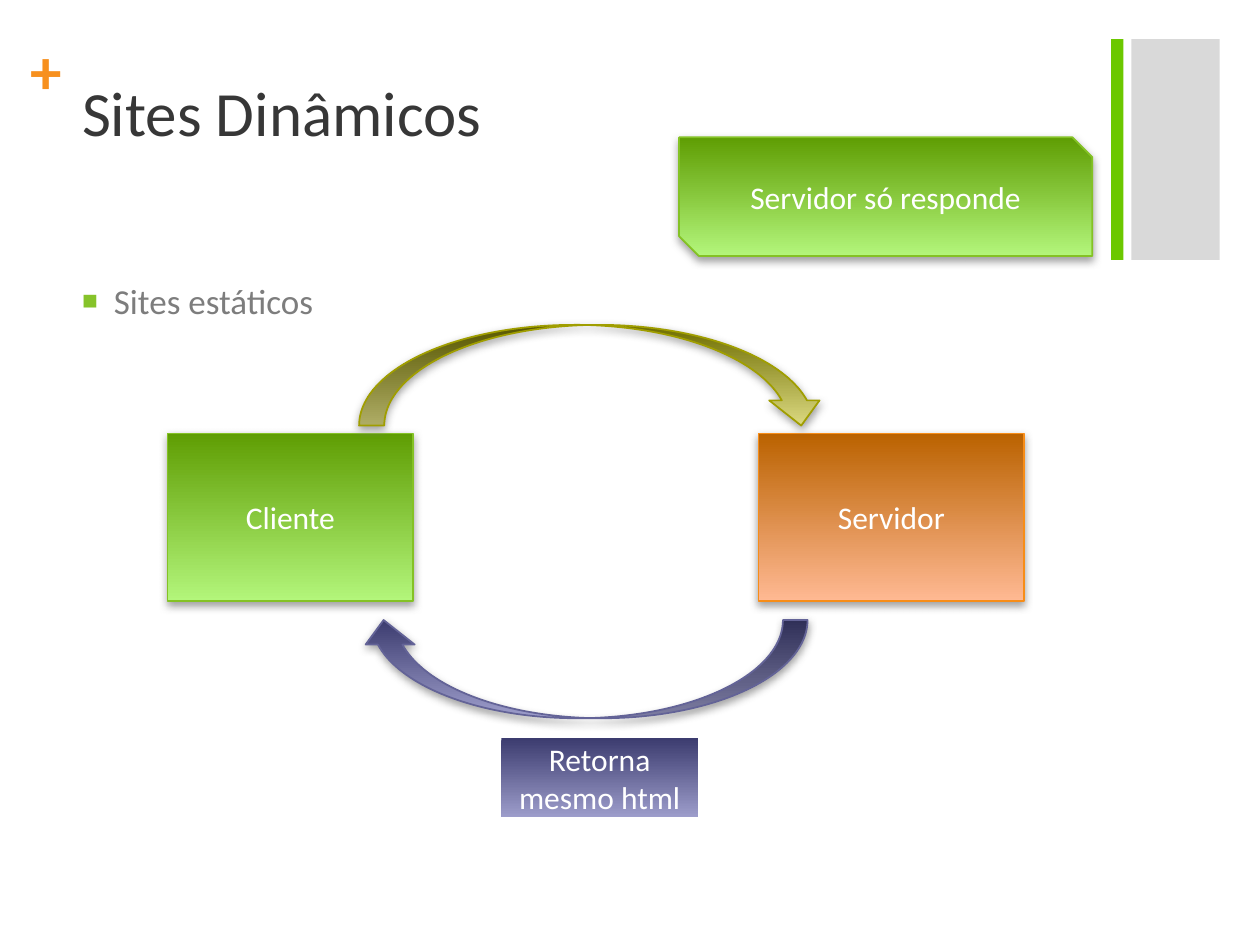
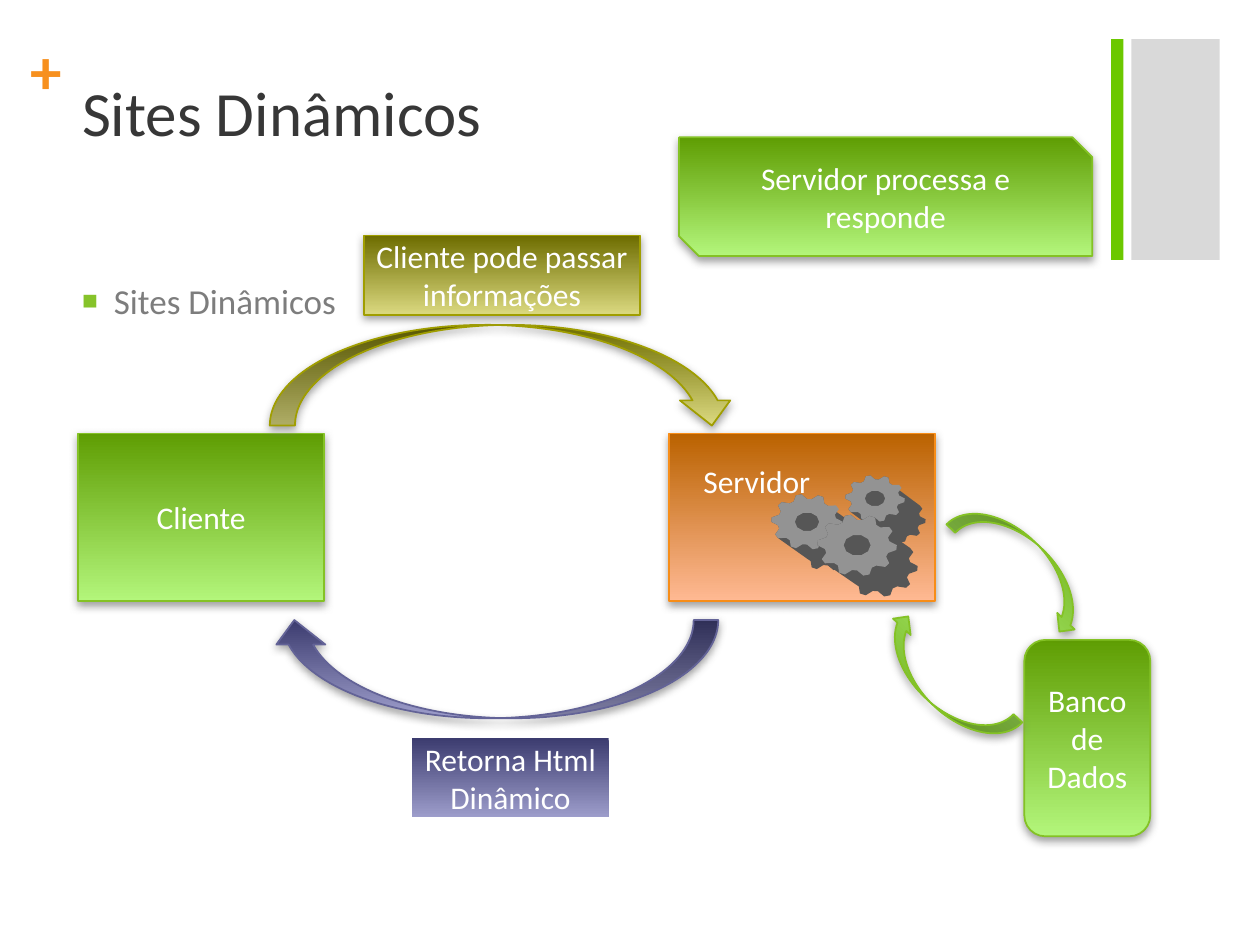
"""Build two slides comparing static and dynamic web sites."""
import math

import pptx
import pptx.dml.color
import pptx.enum.shapes
import pptx.enum.text
import pptx.util
from lxml import etree
from pptx.oxml.ns import qn

Cm = pptx.util.Cm
Pt = pptx.util.Pt
SHAPE = pptx.enum.shapes.MSO_SHAPE
ANCHOR = pptx.enum.text.MSO_ANCHOR
ALIGN = pptx.enum.text.PP_ALIGN

FONT = "Calibri"
COLORS = {
    "title": "373737", "body": "7D7D7D", "bullet": "86C32A", "plus": "F7901E",
    "band": "D9D9D9", "stripe": "6CC800", "white": "FFFFFF", "shadow": "808080",
    "gear_face": "939393", "gear_side": "565656",
}
THEMES = {
    "green": ("5F9D03", "B3F67B", "84C225"),
    "orange": ("BA6200", "FFB993", "F78D18"),
    "olive": ("6E6D00", "DBD980", "A09E00"),
    "purple": ("3C3C6F", "9D9DCB", "636397"),
    "purple_label": ("3C3C6F", "9D9DCB", None),
}

TITLE_BOX = (1.4, 1.35, 20.98, 3.1)
BODY_BOX = (1.4, 5.51, 20.98, 11.51)
BANDS = [("band", (22.81, 0.79, 1.78, 4.45)), ("stripe", (22.4, 0.79, 0.25, 4.45))]
PLUS_BOX = (0.61, 0.64, 0.71, 1.55)
CLIENT_BOX = (3.38, 8.74, 4.95, 3.38)
SERVER_BOX = (15.29, 8.74, 5.36, 3.38)
REQUEST_BOX = (7.24, 6.55, 9.42, 2.03)
RESPONSE_BOX = (7.24, 12.5, 9.04, 1.98)
RETURN_BOX = (10.11, 14.88, 3.96, 1.6)
SUMMARY_BOX = (13.69, 2.77, 8.33, 2.39)

SLIDES = [
    {
        "title": "Sites Dinâmicos", "bullet": "Sites estáticos", "shift": 0,
        "returned": "Retorna mesmo html", "summary": "Servidor só responde",
        "extras": [], "gears": [],
    },
    {
        "title": "Sites Dinâmicos", "bullet": "Sites Dinâmicos", "shift": -1.8,
        "returned": "Retorna Html Dinâmico", "summary": "Servidor processa e responde",
        "extras": [
            (SHAPE.RECTANGLE, (7.34, 4.75, 5.56, 1.6), "olive", "Cliente pode passar informações", 0),
            (SHAPE.ROUNDED_RECTANGLE, (20.65, 12.9, 2.54, 3.96), "green", "Banco de Dados", 0),
            (SHAPE.CURVED_DOWN_ARROW, (18.95, 10.9, 3.38, 0.97), "green", "", 43.5),
            (SHAPE.CURVED_DOWN_ARROW, (17.35, 13.28, 3.38, 0.97), "green", "", 222.9),
        ],
        "gears": [(17.64, 10.05, 0.6, 0.47), (16.27, 10.52, 0.72, 0.56), (17.28, 10.99, 0.8, 0.62)],
    },
]
GEAR_TEETH = 10
GEAR_DEPTH = 0.42


def rgb(name):
    return pptx.dml.color.RGBColor.from_string(COLORS.get(name, name))


def lengths(box):
    return [Cm(value) for value in box]


def place(shape, box):
    shape.left, shape.top, shape.width, shape.height = lengths(box)


def write(shape, text, size, color, alignment=ALIGN.LEFT, bold=False):
    frame = shape.text_frame
    frame.text = text
    frame.word_wrap = True
    paragraph = frame.paragraphs[0]
    paragraph.alignment = alignment
    paragraph.space_before = Pt(0)
    for run in paragraph.runs:
        run.font.name, run.font.size, run.font.bold = FONT, Pt(size), bold
        run.font.color.rgb = rgb(color)


def fill_plain(shape, color):
    shape.shadow.inherit = False
    shape.fill.solid()
    shape.fill.fore_color.rgb = rgb(color)
    shape.line.fill.background()


def add_bullet(paragraph):
    properties = paragraph._p.get_or_add_pPr()
    properties.set("marL", str(Cm(0.64)))
    properties.set("indent", str(-Cm(0.64)))
    color = etree.SubElement(properties, qn("a:buClr"))
    etree.SubElement(color, qn("a:srgbClr"), val=COLORS["bullet"])
    etree.SubElement(properties, qn("a:buSzPct"), val="75000")
    etree.SubElement(properties, qn("a:buFont"), typeface="Arial")
    etree.SubElement(properties, qn("a:buChar"), char="■")


def add_shadow(shape):
    effects = shape.element.spPr.find(qn("a:effectLst"))
    shadow = etree.SubElement(effects, qn("a:outerShdw"), blurRad=str(Pt(5)),
                              dist=str(Pt(2)), dir="5400000", rotWithShape="0")
    color = etree.SubElement(shadow, qn("a:srgbClr"), val=COLORS["shadow"])
    etree.SubElement(color, qn("a:alpha"), val="75000")


def add_block(slide, kind, box, theme, text="", rotation=0):
    shape = slide.shapes.add_shape(kind, *lengths(box))
    *stops, outline = THEMES[theme]
    shape.rotation = rotation
    shape.shadow.inherit = False
    shape.fill.gradient()
    shape.fill.gradient_angle = 270
    for stop, color in zip(shape.fill.gradient_stops, stops):
        stop.color.rgb = rgb(color)
    if outline:
        shape.line.color.rgb = rgb(outline)
        shape.line.width = Pt(1)
        add_shadow(shape)
    else:
        shape.line.fill.background()
    if text:
        shape.text_frame.vertical_anchor = ANCHOR.MIDDLE
        write(shape, text, 18, "white", ALIGN.CENTER)
    return shape


def ring(center_x, center_y, radius_x, radius_y, ratios, depth=0):
    step = 2 * math.pi / (GEAR_TEETH * len(ratios))
    points = []
    for index, ratio in enumerate(ratios * GEAR_TEETH):
        cosine, sine = math.cos(index * step), math.sin(index * step)
        offset = depth if cosine / radius_x + sine / radius_y > 0 else 0
        points.append((Cm(center_x + offset + radius_x * ratio * cosine),
                       Cm(center_y + offset + radius_y * ratio * sine)))
    return points


def add_outline(group, contours, color):
    builder = group.shapes.build_freeform(*contours[0][0])
    builder.add_line_segments(contours[0][1:], close=True)
    for contour in contours[1:]:
        builder.move_to(*contour[0])
        builder.add_line_segments(contour[1:], close=True)
    fill_plain(builder.convert_to_shape(), color)


def add_gear(group, gear):
    teeth = [1, 1, 0.82, 0.82]
    add_outline(group, [ring(*gear, teeth, GEAR_DEPTH)], "gear_side")
    add_outline(group, [ring(*gear, teeth), ring(*gear, [0.34])[::-1]], "gear_face")


def add_frame(slide, title, bullet):
    for color, box in BANDS:
        fill_plain(slide.shapes.add_shape(SHAPE.RECTANGLE, *lengths(box)), color)
    plus = slide.shapes.add_textbox(*lengths(PLUS_BOX))
    frame = plus.text_frame
    frame.margin_left = frame.margin_right = frame.margin_top = frame.margin_bottom = 0
    write(plus, "+", 36, "plus", bold=True)
    body = slide.placeholders[1]
    for shape, box, text, size, color in (
        (slide.shapes.title, TITLE_BOX, title, 36, "title"),
        (body, BODY_BOX, bullet, 20, "body"),
    ):
        place(shape, box)
        shape.text_frame.vertical_anchor = ANCHOR.TOP
        shape.text_frame.auto_size = pptx.enum.text.MSO_AUTO_SIZE.NONE
        write(shape, text, size, color)
    add_bullet(body.text_frame.paragraphs[0])


def add_diagram(slide, content):
    def shifted(box):
        return (box[0] + content["shift"], *box[1:])

    add_block(slide, SHAPE.RECTANGLE, shifted(CLIENT_BOX), "green", "Cliente")
    server = add_block(slide, SHAPE.RECTANGLE, shifted(SERVER_BOX), "orange", "Servidor")
    add_block(slide, SHAPE.CURVED_DOWN_ARROW, shifted(REQUEST_BOX), "olive")
    response = add_block(slide, SHAPE.CURVED_UP_ARROW, shifted(RESPONSE_BOX), "purple")
    response.element.spPr.find(qn("a:xfrm")).set("flipH", "1")
    add_block(slide, SHAPE.RECTANGLE, shifted(RETURN_BOX), "purple_label", content["returned"])
    for extra in content["extras"]:
        add_block(slide, *extra)
    add_block(slide, SHAPE.SNIP_2_DIAG_RECTANGLE, SUMMARY_BOX, "green", content["summary"])
    if content["gears"]:
        frame = server.text_frame
        frame.vertical_anchor = ANCHOR.TOP
        frame.margin_left, frame.margin_top = Cm(0.69), Cm(0.58)
        frame.paragraphs[0].alignment = ALIGN.LEFT
        group = slide.shapes.add_group_shape()
        for gear in content["gears"]:
            add_gear(group, gear)


def main():
    presentation = pptx.Presentation()
    presentation.slide_width, presentation.slide_height = Cm(25.4), Cm(19.05)
    for content in SLIDES:
        slide = presentation.slides.add_slide(presentation.slide_layouts[1])
        add_frame(slide, content["title"], content["bullet"])
        add_diagram(slide, content)
    presentation.save("out.pptx")


if __name__ == "__main__":
    main()
